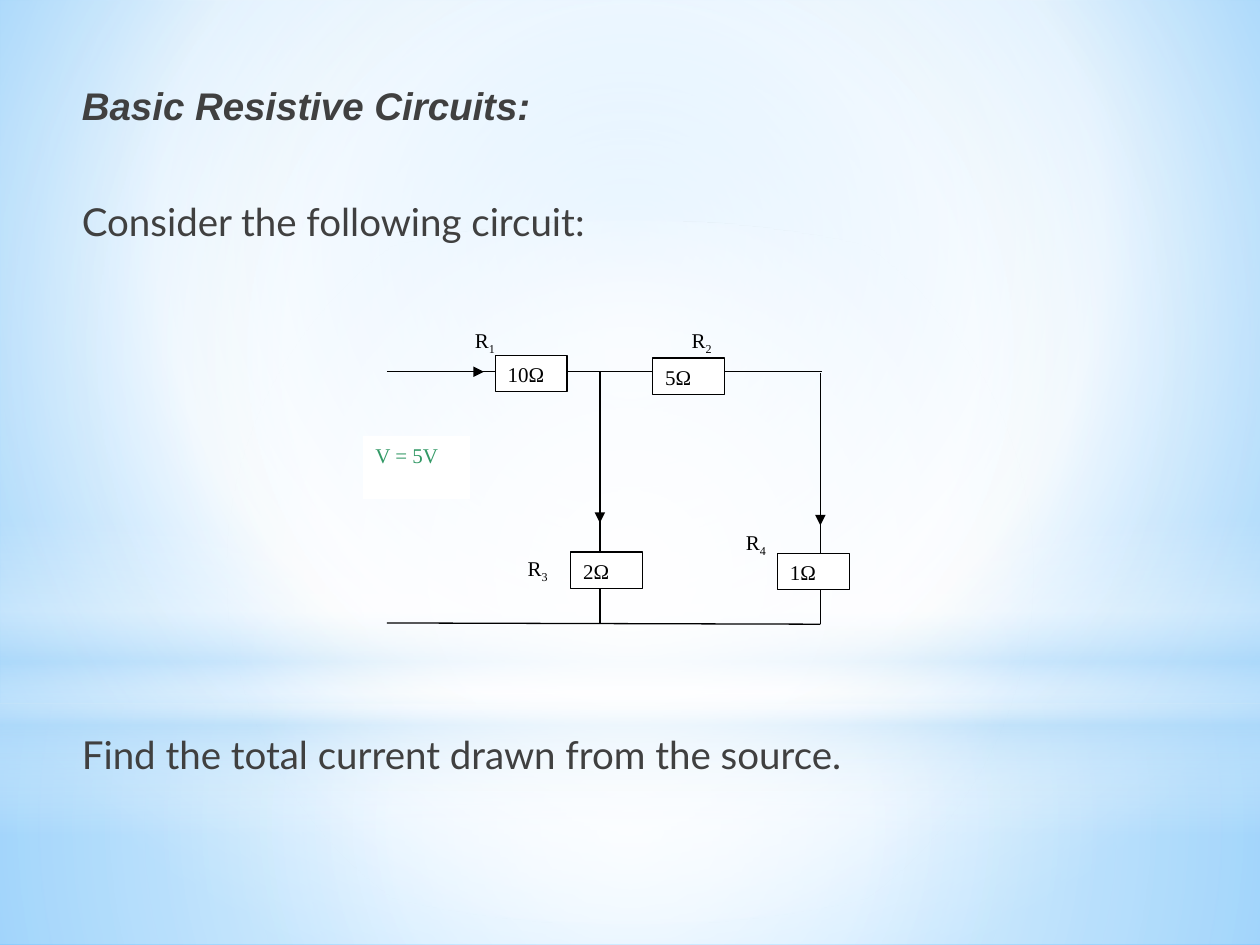
from dataclasses import dataclass

from lxml.etree import SubElement
from pptx import Presentation
from pptx.dml.color import RGBColor as Color
from pptx.enum.shapes import MSO_CONNECTOR as Connector, MSO_SHAPE as Preset
from pptx.enum.text import MSO_ANCHOR as Anchor, MSO_AUTO_SIZE as AutoSize, PP_ALIGN as Align
from pptx.oxml.ns import qn
from pptx.util import Pt


@dataclass(frozen=True)
class Theme:
    text: str = "404040"
    ink: str = "000000"
    paper: str = "FFFFFF"
    source: str = "339966"
    mist: str = "B4DCFA"
    sky: str = "9ED5FF"
    edge: str = "5BB9FF"
    heading_font: str = "Arial"
    body_font: str = "Lato"
    label_font: str = "Times New Roman"
    text_size: int = 22
    label_size: int = 12
    line_width: float = 0.75


THEME = Theme()
CENTRE = (50, 50, 50, 50)


def set_gradient(solid, stops, focus=None):
    parent = solid.getparent()
    gradient = SubElement(parent, qn("a:gradFill"), rotWithShape="1")
    parent.replace(solid, gradient)
    stop_list = SubElement(gradient, qn("a:gsLst"))
    for position, color, alpha in stops:
        stop = SubElement(stop_list, qn("a:gs"), pos=str(position * 1000))
        tint = SubElement(stop, qn("a:srgbClr"), val=color)
        SubElement(tint, qn("a:alpha"), val=str(alpha * 1000))
    if focus:
        shade = SubElement(gradient, qn("a:path"), path="circle")
        sides = {side: str(value * 1000) for side, value in zip("ltrb", focus)}
        SubElement(shade, qn("a:fillToRect"), sides)
    else:
        SubElement(gradient, qn("a:lin"), ang="5400000", scaled="0")


def style_font(font, name, size, color):
    font.name, font.size = name, Pt(size)
    font.color.rgb = Color.from_string(color)


def add_panel(shapes, preset, left, top, width, height, fill):
    panel = shapes.add_shape(preset, Pt(left), Pt(top), Pt(width), Pt(height))
    panel.shadow.inherit = False
    panel.fill.solid()
    panel.fill.fore_color.rgb = Color.from_string(fill)
    panel.line.fill.background()
    return panel


def draw_backdrop(page, width, height):
    page.background.fill.solid()
    solid = page.element.find(".//" + qn("p:bgPr")).find(qn("a:solidFill"))
    set_gradient(solid, [(0, THEME.sky, 100), (60, THEME.paper, 100), (100, THEME.edge, 100)],
                 (20, 10, 20, 60))
    white, mist = THEME.paper, THEME.mist
    horizon = 402
    layers = [
        (Preset.RECTANGLE, horizon, height - horizon,
         [(0, white, 91), (37, white, 76), (100, mist, 79)], CENTRE),
        (Preset.RECTANGLE, 0, horizon,
         [(0, white, 89), (48, white, 62), (100, mist, 79)], CENTRE),
        (Preset.RECTANGLE, 297, 180,
         [(0, white, 0), (29, white, 30), (45, mist, 40), (55, white, 26),
          (65, mist, 60), (100, white, 0)], None),
        (Preset.OVAL, 126, horizon, [(0, white, 100), (56, white, 0)], CENTRE),
    ]
    for preset, top, depth, stops, focus in layers:
        panel = add_panel(page.shapes, preset, 0, top, width, depth, white)
        set_gradient(panel.element.spPr.find(qn("a:solidFill")), stops, focus)


def place_text(holder, lines, left, top, width, height, font_name, gap=0):
    holder.element.getparent().append(holder.element)
    holder.left, holder.top, holder.width, holder.height = map(Pt, (left, top, width, height))
    frame = holder.text_frame
    frame.text = "\n".join(lines)
    frame.word_wrap, frame.auto_size = True, AutoSize.NONE
    frame.vertical_anchor = Anchor.TOP
    for index, para in enumerate(frame.paragraphs):
        properties = para._p.get_or_add_pPr()
        properties.set("marL", "0")
        properties.set("indent", "0")
        SubElement(properties, qn("a:buNone"))
        para.alignment = Align.LEFT
        para.space_before = Pt(gap if index else 0)
        for span in para.runs:
            style_font(span.font, font_name, THEME.text_size, THEME.text)


def draw_text(page, left, top, width):
    title, body = page.shapes.title, page.placeholders[1]
    place_text(title, ["Basic Resistive Circuits:"], left, top, width, 34, THEME.heading_font)
    title_font = title.text_frame.paragraphs[0].runs[0].font
    title_font.bold = title_font.italic = True
    place_text(body, ["Consider the following circuit:",
                      "Find the total current drawn from the source."],
               left, top + 66, width, 350, THEME.body_font, gap=278)


def add_wire(shapes, start, end, arrow=False):
    wire = shapes.add_connector(Connector.STRAIGHT, *map(Pt, start + end))
    wire.line.color.rgb = Color.from_string(THEME.ink)
    wire.line.width = Pt(THEME.line_width)
    if arrow:
        SubElement(wire.line._get_or_add_ln(), qn("a:tailEnd"), type="triangle")
    SubElement(wire.element.spPr, qn("a:effectLst"))


def write_label(box, text, color, subscript=""):
    frame = box.text_frame
    frame.word_wrap, frame.vertical_anchor = True, Anchor.TOP
    para = frame.paragraphs[0]
    para.text = text
    para.alignment = Align.LEFT
    if subscript:
        lowered = para.add_run()
        lowered.text = subscript
        lowered._r.get_or_add_rPr().set("baseline", "-25000")
    for span in para.runs:
        style_font(span.font, THEME.label_font, THEME.label_size, color)


def draw_circuit(page, left, top):
    shapes = page.shapes.add_group_shape().shapes

    def at(x, y):
        return left + x, top + y

    source_x, middle_x, right_x = 13.7, 135.4, 261.4
    upper_y, lower_y = 28.8, 172.4
    wires = [
        ((source_x, upper_y), (right_x + 0.7, upper_y), False),
        ((middle_x, upper_y), (middle_x, lower_y), False),
        ((right_x, upper_y + 0.7), (right_x, lower_y + 0.7), False),
        ((source_x, lower_y), (right_x, lower_y + 0.7), False),
        ((52.6, upper_y), (69.1, upper_y), True),
        ((middle_x, 90), (middle_x, 115.2), True),
        ((right_x, 95.8), (right_x, 116.6), True),
    ]
    for start, end, arrow in wires:
        add_wire(shapes, at(*start), at(*end), arrow)

    resistors = [
        ("1", "10Ω", (75.6, 19.4), (56.9, 0)),
        ("2", "5Ω", (165.6, 20.9), (180.7, 0)),
        ("3", "2Ω", (118.8, 131.8), (87.1, 130.3)),
        ("4", "1Ω", (236.9, 132.5), (211.7, 115.2)),
    ]
    for number, value, box_spot, label_spot in resistors:
        box = add_panel(shapes, Preset.RECTANGLE, *at(*box_spot), 41, 20.9, THEME.paper)
        box.line.color.rgb = Color.from_string(THEME.ink)
        box.line.width = Pt(THEME.line_width)
        write_label(box, value, THEME.ink)
        label = shapes.add_textbox(*map(Pt, at(*label_spot)), Pt(33.8), Pt(24.5))
        write_label(label, "R", THEME.ink, number)

    supply = add_panel(shapes, Preset.RECTANGLE, *at(0, 65.5), 61.2, 36, THEME.paper)
    write_label(supply, "V = 5V", THEME.source)


def main():
    deck = Presentation()
    width, height = 720, 540
    deck.slide_width, deck.slide_height = Pt(width), Pt(height)
    page = deck.slides.add_slide(deck.slide_layouts[1])
    draw_backdrop(page, width, height)
    draw_text(page, 39.6, 43.5, 656)
    draw_circuit(page, 207.4, 183.6)
    deck.save("out.pptx")


if __name__ == "__main__":
    main()
